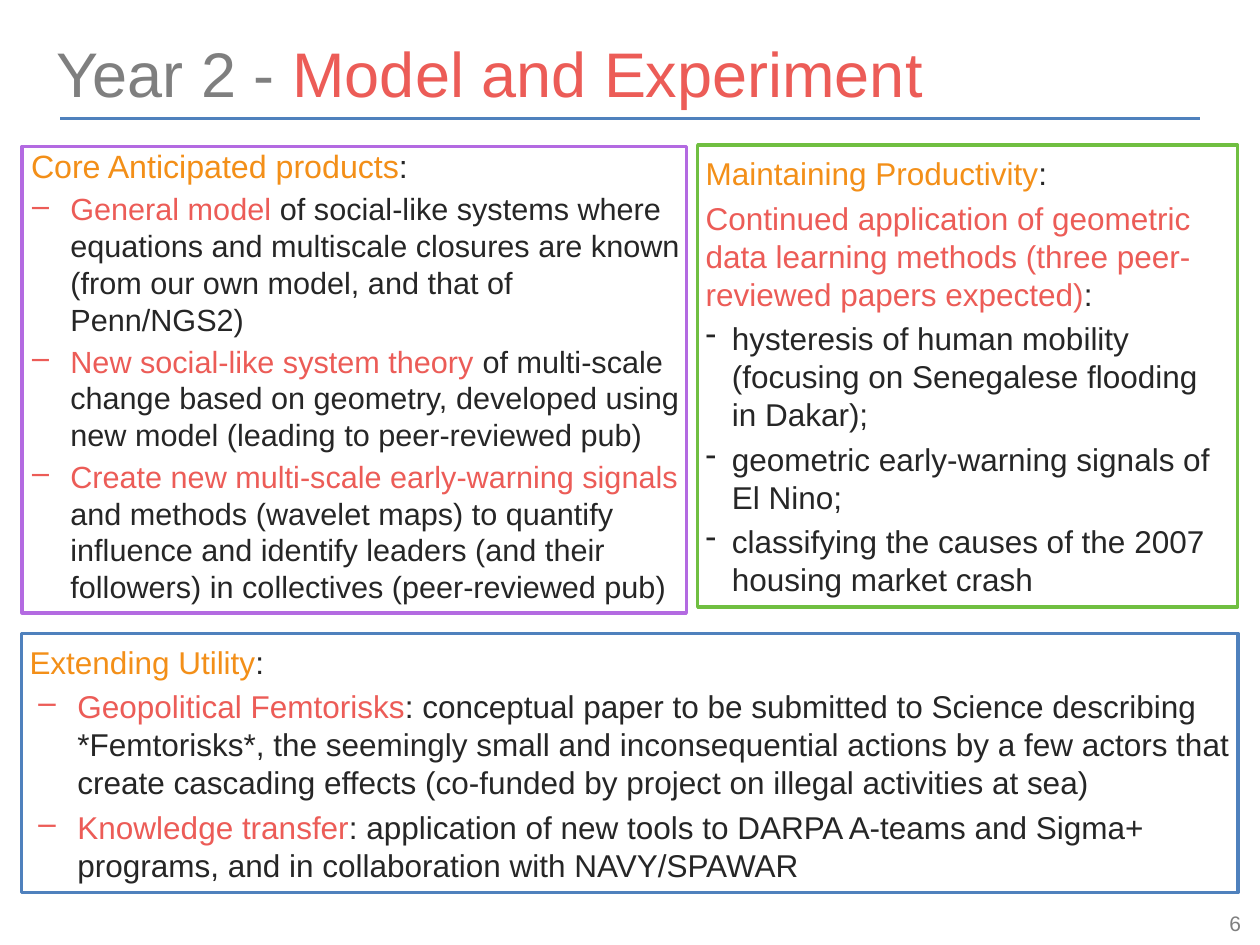
import dataclasses
import pptx
import pptx.util
import pptx.oxml
import pptx.oxml.ns
import pptx.dml.color
import pptx.enum.text
import pptx.enum.shapes

Pt = pptx.util.Pt
Anchor = pptx.enum.text.MSO_ANCHOR
Align = pptx.enum.text.PP_ALIGN


@dataclasses.dataclass
class Theme:
    font: str = "Arial"
    gray: str = "7F7F7F"
    dark: str = "262626"
    red: str = "EC5C57"
    gold: str = "F38F18"
    blue: str = "4F81BD"
    plum: str = "B36AE1"
    green: str = "70BF41"
    title: float = 36
    head: float = 18.4
    body: float = 18
    small: float = 17.5
    note: float = 12
    rule: float = 2


def tint(code):
    return pptx.dml.color.RGBColor.from_string(code)


class Page:
    def __init__(self, slide, theme):
        self.slide = slide
        self.theme = theme

    def frame(self, shape, anchor, inset=0):
        frame = shape.text_frame
        frame.word_wrap = True
        frame.vertical_anchor = anchor
        frame.margin_left = frame.margin_right = Pt(inset)
        frame.margin_top = frame.margin_bottom = Pt(inset)
        return frame

    def runs(self, para, parts, size):
        for words, color in parts:
            run = para.add_run()
            run.text = words
            run.font.name = self.theme.font
            run.font.size = Pt(size)
            run.font.color.rgb = tint(color)

    def label(self, box, parts, size, anchor, align=Align.LEFT, lead=1.0):
        shape = self.slide.shapes.add_textbox(*map(Pt, box))
        para = self.frame(shape, anchor).paragraphs[0]
        para.alignment = align
        para.line_spacing = lead
        self.runs(para, parts, size)

    def rule(self, left, right, top, color):
        line = self.slide.shapes.add_connector(
            pptx.enum.shapes.MSO_CONNECTOR.STRAIGHT,
            Pt(left), Pt(top), Pt(right), Pt(top))
        line.line.color.rgb = tint(color)
        line.line.width = Pt(self.theme.rule)
        line._element.spPr.append(pptx.oxml.parse_xml(
            "<a:effectLst %s/>" % pptx.oxml.ns.nsdecls("a")))

    def dent(self, para, left, hang, mark=None):
        props = para._p.get_or_add_pPr()
        props.set("marL", str(Pt(left)))
        props.set("indent", str(-Pt(hang)))
        if mark:
            props.append(pptx.oxml.parse_xml(
                '<a:buChar %s char="%s"/>' % (pptx.oxml.ns.nsdecls("a"), mark)))

    def panel(self, box, color, head, items, mark, left, hang, gap=4,
              anchor=Anchor.MIDDLE, inset=4.5, size=None, top=None, start=0):
        theme = self.theme
        shape = self.slide.shapes.add_shape(
            pptx.enum.shapes.MSO_SHAPE.RECTANGLE, *map(Pt, box))
        shape.shadow.inherit = False
        shape.fill.background()
        shape.line.color.rgb = tint(color)
        shape.line.width = Pt(theme.rule)
        frame = self.frame(shape, anchor, inset)
        para = frame.paragraphs[0]
        para.alignment = Align.LEFT
        self.dent(para, start, 0)
        self.runs(para, [(head, theme.gold), (":", theme.dark)], top or theme.body)
        for key, rest, listed in items:
            para = frame.add_paragraph()
            para.alignment = Align.LEFT
            para.space_before = Pt(gap)
            if listed:
                self.dent(para, left, hang, mark)
            parts = [(key, theme.red), (rest, theme.dark)]
            self.runs(para, [part for part in parts if part[0]], size or theme.body)


def main():
    deck = pptx.Presentation()
    deck.slide_width, deck.slide_height = Pt(720), Pt(540)
    theme = Theme()
    page = Page(deck.slides.add_slide(deck.slide_layouts[6]), theme)

    page.label((668.9, 520.5, 40.3, 13.7), [("6", theme.gray)], theme.note,
               Anchor.MIDDLE, Align.RIGHT)
    page.label((32.4, -18, 617.8, 81.4),
               [("Year 2 - ", theme.gray), ("Model and Experiment", theme.red)],
               theme.title, Anchor.BOTTOM, lead=0.9)
    page.rule(34.5, 685.5, 67.7, theme.blue)

    page.panel((12.6, 83.7, 379.6, 266.5), theme.plum, "Core Anticipated products", [
        ("General model", " of social-like systems where equations and multiscale "
         "closures are known (from our own model, and that of Penn/NGS2)", True),
        ("New social-like system theory", " of multi-scale change based on geometry, "
         "developed using new model (leading to peer-reviewed pub)", True),
        ("Create new multi-scale early-warning signals", " and methods (wavelet maps) "
         "to quantify influence and identify leaders (and their followers) in "
         "collectives (peer-reviewed pub)", True),
    ], "–", 27.6, 21.8, gap=3, anchor=Anchor.TOP, inset=0,
        size=theme.small, top=theme.head, start=5.1)

    page.panel((398.7, 82.8, 308.5, 264.2), theme.green, "Maintaining Productivity", [
        ("Continued application of geometric data learning methods "
         "(three peer-reviewed papers expected)", ":", False),
        ("", "hysteresis of human mobility (focusing on Senegalese flooding "
         "in Dakar);", True),
        ("", "geometric early-warning signals of El Nino;", True),
        ("", "classifying the causes of the 2007 housing market crash", True),
    ], "-", 15, 15)

    page.panel((12.4, 361.9, 695, 148.1), theme.blue, "Extending Utility", [
        ("Geopolitical Femtorisks", ": conceptual paper to be submitted to Science "
         "describing *Femtorisks*, the seemingly small and inconsequential actions "
         "by a few actors that create cascading effects (co-funded by project on "
         "illegal activities at sea)", True),
        ("Knowledge transfer", ": application of new tools to DARPA A-teams and "
         "Sigma+ programs, and in collaboration with NAVY/SPAWAR", True),
    ], "–", 27.4, 22.3)

    deck.save("out.pptx")


if __name__ == "__main__":
    main()
